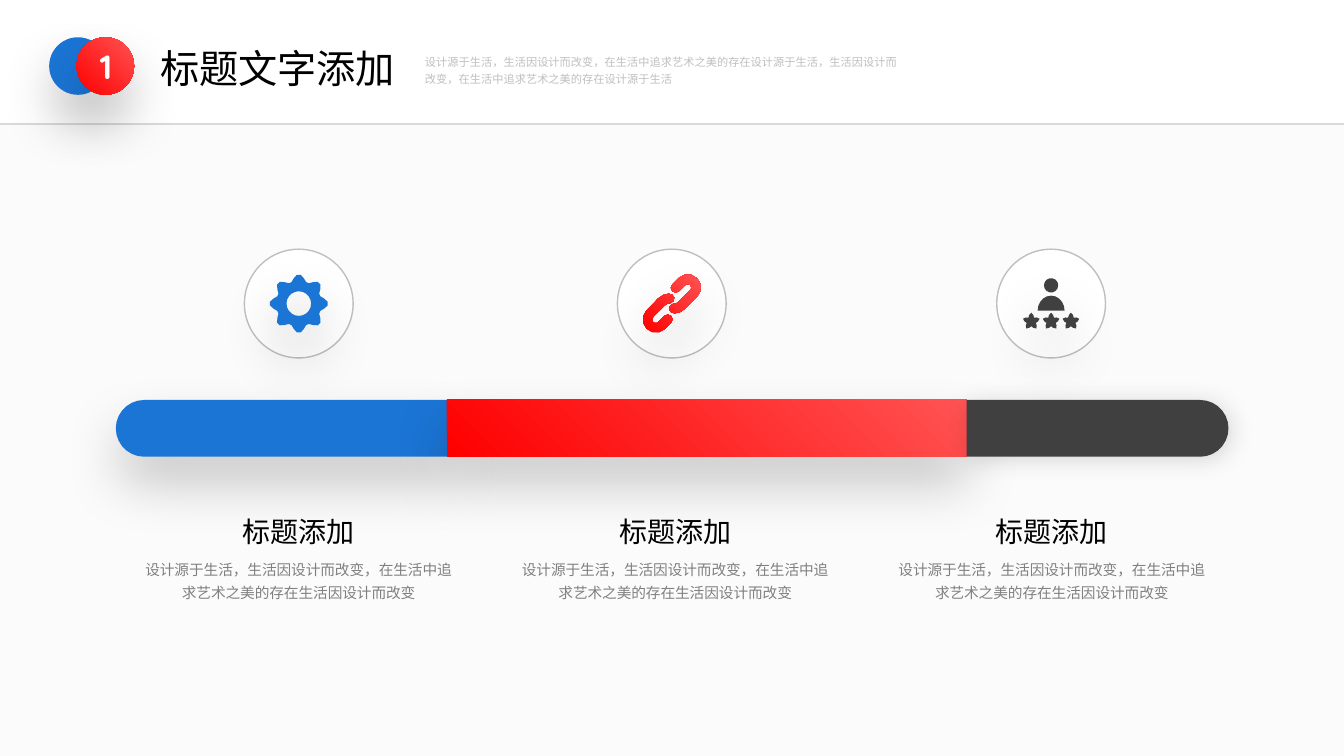
import math

import lxml.etree
import pptx
import pptx.dml.color
import pptx.enum.dml
import pptx.enum.shapes
import pptx.enum.text
import pptx.oxml.ns
import pptx.util

Cm = pptx.util.Cm
qn = pptx.oxml.ns.qn
ALIGN = pptx.enum.text.PP_ALIGN
OVAL = pptx.enum.shapes.MSO_SHAPE.OVAL

TITLE = "标题文字添加"
NUMBER = "1"
SUBTITLE = ("设计源于生活，生活因设计而改变，在生活中追求艺术之美的存在设计源于生活，"
            "生活因设计而改变，在生活中追求艺术之美的存在设计源于生活")
COLUMN_BODY = "设计源于生活，生活因设计而改变，在生活中追求艺术之美的存在生活因设计而改变"
COLUMNS = [("标题添加", COLUMN_BODY)] * 3

COLORS = {"white": "FFFFFF", "panel": "FBFBFB", "rule": "D9D9D9", "ring": "BFBFBF",
          "black": "000000", "body": "808080", "subtitle": "BFBFBF",
          "blue": "1B75D5", "red": "FE0000", "light red": "FF5353", "dark": "404040"}
RED_BLEND = ("red", "light red")
DEEP_SHADOW = {"alpha": 20, "blur": 40, "dist": 20, "angle": 90}
SOFT_SHADOW = {"alpha": 15, "blur": 18, "dist": 3, "angle": 45}

SLIDE_W, SLIDE_H = 33.87, 19.05
HEADER_H = 3.12
BADGE_Y, BADGE_D = 0.94, 1.45
COLUMN_X, COLUMN_W, COLUMN_PITCH = 3.4, 8.26, 9.49
BAR_Y, BAR_H = 10.08, 1.43
BAR_EDGES = [2.92, 11.26, 24.36, 30.96]
RING_D, RING_CY = 2.74, 7.65
RING_CENTERS = [7.53, 16.93, 26.49]


def rgb(name):
    return pptx.dml.color.RGBColor.from_string(COLORS[name])


def arc(cx, cy, rx, ry, start, end, steps):
    angles = [math.radians(start + (end - start) * i / steps) for i in range(steps + 1)]
    return [(cx + rx * math.cos(a), cy + ry * math.sin(a)) for a in angles]


def lobed(cx, cy, radius, swing, lobes, steps, offset):
    outline = []
    for i in range(lobes * steps):
        a = math.tau * (i + offset) / (lobes * steps)
        r = radius + swing * math.cos(lobes * a)
        outline.append((cx + r * math.sin(a), cy - r * math.cos(a)))
    return outline


def thicken(line, half):
    headings = []
    for i in range(len(line)):
        (x0, y0), (x1, y1) = line[max(i - 1, 0)], line[min(i + 1, len(line) - 1)]
        headings.append(math.degrees(math.atan2(y1 - y0, x1 - x0)))
    left, right = [], []
    for (x, y), h in zip(line[1:-1], headings[1:-1]):
        far_side, near_side = arc(x, y, half, half, h + 90, h - 90, 1)
        left.append(far_side)
        right.append(near_side)
    end_cap = arc(*line[-1], half, half, headings[-1] + 90, headings[-1] - 90, 4)
    start_cap = arc(*line[0], half, half, headings[0] - 90, headings[0] - 270, 4)
    return left + end_cap + right[::-1] + start_cap


def gear():
    return [lobed(0, 0, 0.65, 0.09, 8, 6, 0.5), arc(0, 0, 0.31, 0.31, 360, 0, 20)]


def chain():
    centerline = [(0.05, -0.13), (-0.04, -0.19), (-0.15, -0.21)]
    centerline += arc(-0.57, 0, 0.21, 0.21, 270, 90, 6) + [(-0.35, 0.21)]
    tilt = math.sqrt(0.5)
    hook = [((u + v) * tilt, (v - u) * tilt) for u, v in thicken(centerline, 0.12)]
    return [hook, [(-x, -y) for x, y in hook]]


def person():
    head = arc(0, -0.46, 0.18, 0.18, 0, 360, 14)
    shoulders = arc(0, 0.18, 0.34, 0.38, 180, 360, 10)
    stars = [lobed(dx, 0.45, 0.17, 0.05, 5, 4, 0) for dx in (-0.5, 0, 0.5)]
    return [head, shoulders] + stars


def paint(shape, fill, shadow=None, line=None):
    if isinstance(fill, tuple):
        shape.fill.gradient()
        shape.fill.gradient_angle = 45
        for stop, position, name in zip(shape.fill.gradient_stops, (0, 1), fill):
            stop.position = position
            stop.color.rgb = rgb(name)
    else:
        shape.fill.solid()
        shape.fill.fore_color.rgb = rgb(fill)
    if line:
        shape.line.color.rgb = rgb(line)
        shape.line.width = pptx.util.Pt(1)
    else:
        shape.line.fill.background()
    shape.shadow.inherit = False
    if shadow:
        effects = shape._element.spPr.find(qn("a:effectLst"))
        outer = lxml.etree.SubElement(
            effects, qn("a:outerShdw"), blurRad=str(pptx.util.Pt(shadow["blur"])),
            dist=str(pptx.util.Pt(shadow["dist"])), dir=str(shadow["angle"] * 60000),
            algn="t", rotWithShape="0")
        color = lxml.etree.SubElement(outer, qn("a:srgbClr"), val=COLORS["black"])
        lxml.etree.SubElement(color, qn("a:alpha"), val=str(shadow["alpha"] * 1000))


def add_preset(kind, x, y, w, h, *look):
    paint(slide.shapes.add_shape(kind, Cm(x), Cm(y), Cm(w), Cm(h)), *look)


def add_outline(contours, cx, cy, *look):
    placed = [[(Cm(cx + x), Cm(cy + y)) for x, y in contour] for contour in contours]
    builder = slide.shapes.build_freeform(*placed[0][0])
    for i, contour in enumerate(placed):
        if i:
            builder.move_to(*contour[0])
        builder.add_line_segments(contour[1:], close=True)
    paint(builder.convert_to_shape(), *look)


def write(box, text, size, color, font, align=ALIGN.LEFT, spacing=None, bold=False, wrap=True):
    frame = box.text_frame
    frame.word_wrap = wrap
    frame.auto_size = pptx.enum.text.MSO_AUTO_SIZE.NONE
    frame.vertical_anchor = pptx.enum.text.MSO_ANCHOR.TOP
    frame.text = text
    paragraph = frame.paragraphs[0]
    paragraph.alignment = align
    paragraph.line_spacing = spacing
    paragraph.font.name = font
    paragraph.font.size = pptx.util.Pt(size)
    paragraph.font.bold = bold
    paragraph.font.color.rgb = rgb(color)
    latin = paragraph._p.pPr.find(qn("a:defRPr")).find(qn("a:latin"))
    latin.addnext(latin.makeelement(qn("a:ea"), {"typeface": "Noto Sans CJK SC"}))


def add_text(x, y, w, h, *args, **kwargs):
    write(slide.shapes.add_textbox(Cm(x), Cm(y), Cm(w), Cm(h)), *args, **kwargs)


deck = pptx.Presentation()
deck.slide_width, deck.slide_height = Cm(SLIDE_W), Cm(SLIDE_H)
slide = deck.slides.add_slide(deck.slide_layouts[5])

add_preset(pptx.enum.shapes.MSO_SHAPE.RECTANGLE, 0, HEADER_H, SLIDE_W, SLIDE_H - HEADER_H, "panel")
header_rule = slide.shapes.add_connector(
    pptx.enum.shapes.MSO_CONNECTOR.STRAIGHT, 0, Cm(HEADER_H), Cm(SLIDE_W), Cm(HEADER_H))
header_rule.line.color.rgb = rgb("rule")
header_rule.line.width = pptx.util.Pt(1.5)
lxml.etree.SubElement(header_rule._element.spPr, qn("a:effectLst"))

for i, (label, body) in enumerate(COLUMNS):
    x = COLUMN_X + i * COLUMN_PITCH
    add_text(x, 13.87, COLUMN_W, 1.42, body, 10.5, "body", "Quicksand", ALIGN.CENTER, 1.3)
    add_text(x, 12.83, COLUMN_W, 1.12, label, 20, "black", "Noto Sans CJK SC", ALIGN.CENTER)

start, first, second, end = BAR_EDGES
cap = BAR_H / 2
left_part = arc(start + cap, cap, cap, cap, 90, 270, 14) + [(first, 0), (first, BAR_H)]
middle_part = [(first, 0), (second, 0), (second, BAR_H), (first, BAR_H)]
right_part = arc(end - cap, cap, cap, cap, -90, 90, 14) + [(second, BAR_H), (second, 0)]
for part, fill, shadow in [(left_part, "blue", DEEP_SHADOW),
                           (middle_part, RED_BLEND, DEEP_SHADOW),
                           (right_part, "dark", SOFT_SHADOW)]:
    add_outline([part], 0, BAR_Y, fill, shadow)

for cx in RING_CENTERS:
    add_preset(OVAL, cx - RING_D / 2, RING_CY - RING_D / 2, RING_D, RING_D, "white", None, "ring")
for cx, icon, fill in zip(RING_CENTERS, (gear(), chain(), person()), ("blue", RED_BLEND, "dark")):
    add_outline(icon, cx, RING_CY, fill, DEEP_SHADOW)

for x, fill in [(1.24, "blue"), (1.93, RED_BLEND)]:
    add_preset(OVAL, x, BADGE_Y, BADGE_D, BADGE_D, fill, DEEP_SHADOW)

title = slide.shapes.title
title.left, title.top, title.width, title.height = Cm(3.78), Cm(0.99), Cm(6.5), Cm(1.45)
write(title, TITLE, 28, "black", "Noto Sans CJK SC", wrap=False)
add_text(10.46, 1.17, 12.47, 1.09, SUBTITLE, 8, "subtitle", "Quicksand", spacing=1.3)
add_text(2.18, 1.02, 0.99, 1.27, NUMBER, 24, "white", "Quicksand", ALIGN.CENTER, bold=True, wrap=False)

deck.save("out.pptx")
